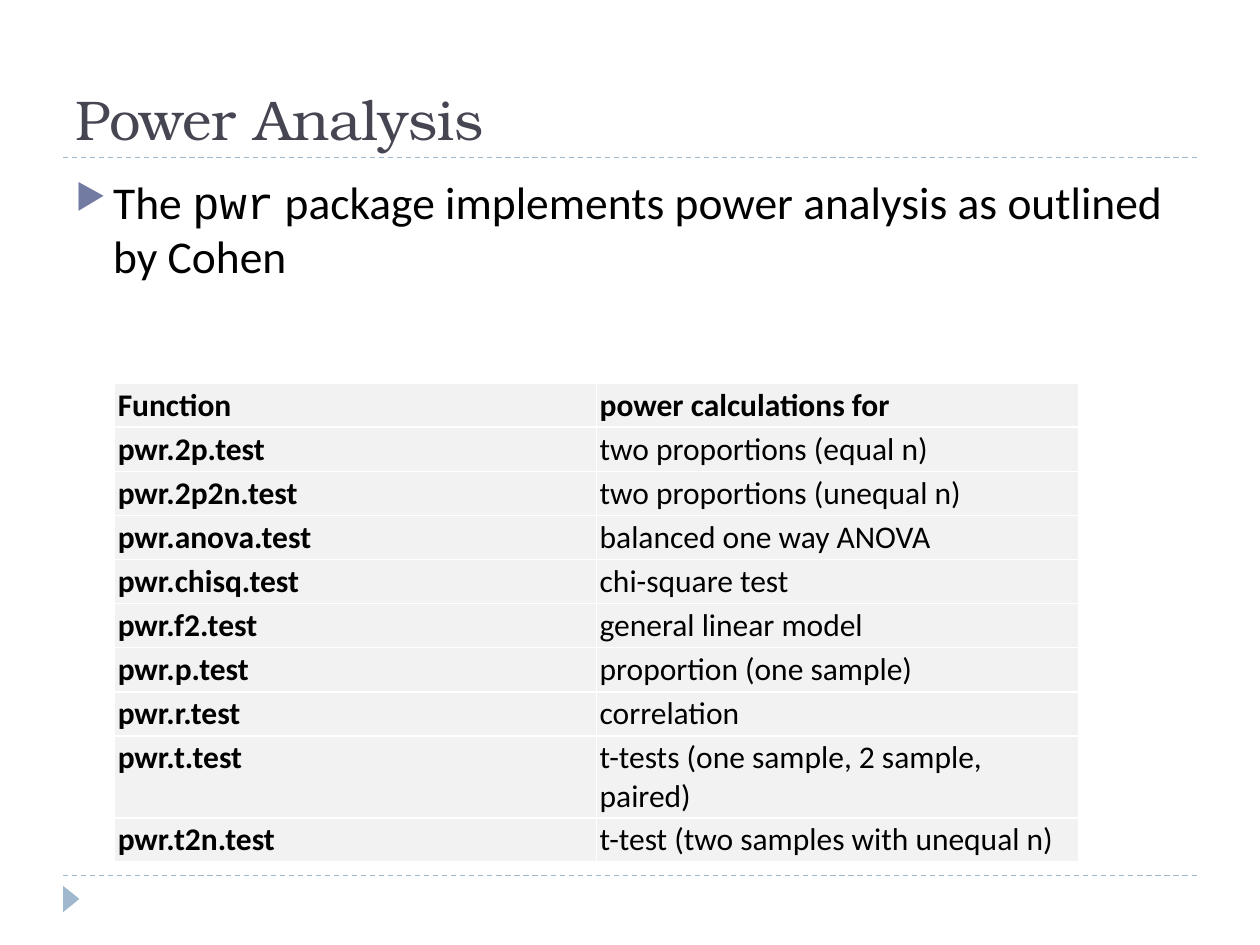
from lxml.etree import SubElement
from pptx import Presentation
from pptx.dml.color import RGBColor
from pptx.enum.dml import MSO_LINE
from pptx.enum.shapes import MSO_CONNECTOR, MSO_SHAPE
from pptx.enum.text import MSO_ANCHOR
from pptx.oxml.ns import qn
from pptx.util import Inches, Pt

COLUMNS, ROWS = 100, 75
FUNCTIONS = [
    ("Function", "power calculations for"),
    ("pwr.2p.test", "two proportions (equal n)"),
    ("pwr.2p2n.test", "two proportions (unequal n)"),
    ("pwr.anova.test", "balanced one way ANOVA"),
    ("pwr.chisq.test", "chi-square test"),
    ("pwr.f2.test", "general linear model"),
    ("pwr.p.test", "proportion (one sample)"),
    ("pwr.r.test", "correlation"),
    ("pwr.t.test", "t-tests (one sample, 2 sample, paired)"),
    ("pwr.t2n.test", "t-test (two samples with unequal n)"),
]


def color(value):
    return RGBColor.from_string(value)


class Deck:
    body_font = "Calibri"
    code_font = "Courier New"
    title_font = "TeX Gyre Bonum"
    ink = "000000"
    title_ink = "464653"
    accent = "9FB8CD"
    bullet_ink = "727CA3"
    table_fill = "F2F2F2"

    def __init__(self):
        self.presentation = Presentation()
        self.presentation.slide_width = Inches(10)
        self.presentation.slide_height = Inches(7.5)
        self.slide = self.presentation.slides.add_slide(self.presentation.slide_layouts[6])

    def x(self, columns):
        return round(self.presentation.slide_width * columns / COLUMNS)

    def y(self, rows):
        return round(self.presentation.slide_height * rows / ROWS)

    def box(self, left, top, width, height):
        return self.x(left), self.y(top), self.x(width), self.y(height)

    def rule(self, row):
        divider = self.slide.shapes.add_connector(
            MSO_CONNECTOR.STRAIGHT, self.x(5), self.y(row), self.x(95), self.y(row))
        divider.line.color.rgb = color(self.accent)
        divider.line.width = Pt(0.75)
        divider.line.dash_style = MSO_LINE.DASH
        SubElement(divider._element.spPr, qn("a:effectLst"))

    def marker(self, *place):
        arrow = self.slide.shapes.add_shape(MSO_SHAPE.ISOSCELES_TRIANGLE, *self.box(*place))
        arrow.rotation = 90
        arrow.shadow.inherit = False
        arrow.fill.solid()
        arrow.fill.fore_color.rgb = color(self.accent)
        arrow.line.fill.background()

    def run(self, paragraph, wording, size, font=body_font, ink=ink, bold=False):
        run = paragraph.add_run()
        run.text = wording
        run.font.size = Pt(size)
        run.font.name = font
        run.font.bold = bold
        run.font.color.rgb = color(ink)

    def text(self, place, runs, size, ink=ink, anchor=MSO_ANCHOR.TOP, bulleted=False):
        frame = self.slide.shapes.add_textbox(*self.box(*place)).text_frame
        frame.word_wrap = True
        frame.vertical_anchor = anchor
        paragraph = frame.paragraphs[0]
        if bulleted:
            self.bullet(paragraph)
        for wording, font in runs:
            self.run(paragraph, wording, size, font, ink)

    def bullet(self, paragraph):
        properties = paragraph._p.get_or_add_pPr()
        properties.set("marL", str(self.x(3)))
        properties.set("indent", str(-self.x(3)))
        tint = SubElement(properties, qn("a:buClr"))
        SubElement(tint, qn("a:srgbClr"), val=self.bullet_ink)
        SubElement(properties, qn("a:buSzPct"), val="76000")
        SubElement(properties, qn("a:buChar"), char="▶")

    def table(self, place, entries, size):
        grid = self.slide.shapes.add_table(len(entries), len(entries[0]), *self.box(*place)).table
        for row, entry in enumerate(entries):
            for column, wording in enumerate(entry):
                cell = grid.cell(row, column)
                cell.fill.solid()
                cell.fill.fore_color.rgb = color(self.table_fill)
                cell.margin_left = cell.margin_right = self.x(0.25)
                cell.margin_top = cell.margin_bottom = self.y(0.25)
                self.run(cell.text_frame.paragraphs[0], wording, size,
                         bold=row == 0 or column == 0)


def main():
    deck = Deck()
    for row in (69.5, 12.5):
        deck.rule(row)
    deck.marker(4.6, 70.7, 2.1, 1.3)
    deck.text((5, 1.7, 90, 10.8), [("Power Analysis", deck.title_font)], 32,
              deck.title_ink, MSO_ANCHOR.BOTTOM)
    deck.text((5, 13.3, 90, 54), [
        ("The ", deck.body_font),
        ("pwr", deck.code_font),
        (" package implements power analysis as outlined by Cohen", deck.body_font),
    ], 26, bulleted=True)
    deck.table((9.1, 30.4, 76.5, 35), FUNCTIONS, 18)
    deck.presentation.save("out.pptx")


if __name__ == "__main__":
    main()
